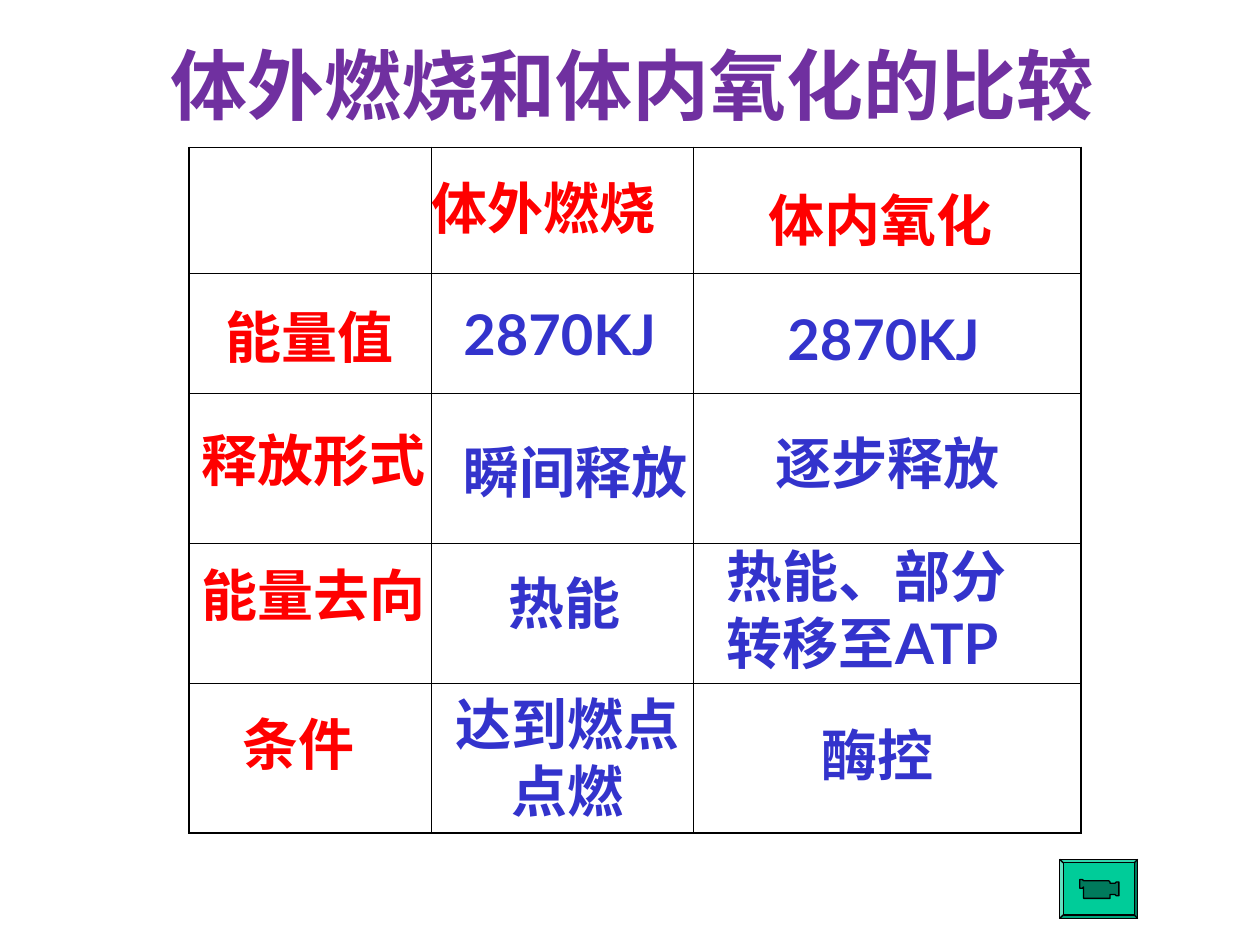
from lxml import etree
from pptx import Presentation
from pptx import util as u
from pptx.dml.color import RGBColor
from pptx.enum import shapes, text
from pptx.oxml import ns

PX = 9144
FONT = "Lato"
PURPLE, RED, BLUE = "7030A0", "FF0000", "3333CC"
BLACK, GREEN, DARK_GREEN = "000000", "00CC99", "007A5C"
COLUMNS = [192, 208, 308]
ROWS = [100, 95, 119, 111, 119]

LABELS = [
    ("体外燃烧", RED, (183, 16, 208, 64)),
    ("体内氧化", RED, (450, 25, 208, 64)),
    ("能量值", RED, (19, 118, 158, 64)),
    ("2870KJ", BLUE, (208, 116, 200, 64)),
    ("2870KJ", BLUE, (465, 120, 208, 64)),
    ("释放形式", RED, (0, 216, 200, 64)),
    ("瞬间释放", BLUE, (208, 225, 208, 64)),
    ("逐步释放", BLUE, (456, 218, 250, 64)),
    ("能量去向", RED, (0, 323, 200, 64)),
    ("热能", BLUE, (244, 329, 123, 64)),
    ("热能、部分\n转移至ATP", BLUE, (417, 308, 269, 117)),
    ("条件", RED, (33, 441, 133, 64)),
    ("达到燃点点燃", BLUE, (192, 425, 217, 117)),
    ("酶控", BLUE, (492, 450, 125, 64)),
]
CAMERA = [(16, 16), (18, 16), (19, 17), (39, 17), (40, 18), (40, 19),
          (44, 19), (45, 18), (47, 18), (47, 29), (45, 29), (44, 28),
          (40, 28), (40, 31), (19, 31), (19, 22), (18, 23), (16, 23)]


def rgb(value):
    return RGBColor.from_string(value)


def emu(*lengths):
    return [u.Emu(n * PX) for n in lengths]


def set_text(sp, content, size, color, align=text.PP_ALIGN.LEFT):
    tf = sp.text_frame
    tf.text = content
    tf.word_wrap = True
    tf.vertical_anchor = text.MSO_ANCHOR.TOP
    tf.auto_size = text.MSO_AUTO_SIZE.SHAPE_TO_FIT_TEXT
    for p in tf.paragraphs:
        p.alignment = align
        for r in p.runs:
            r.font.name = FONT
            r.font.size = u.Pt(size)
            r.font.bold = True
            r.font.color.rgb = rgb(color)


def add_title(s, box):
    sp = s.shapes.title
    sp.left, sp.top, sp.width, sp.height = emu(*box)
    set_text(sp, "体外燃烧和体内氧化的比较", 44, PURPLE)


def set_borders(cell, outer):
    tc_pr = cell._tc.get_or_add_tcPr()
    for index, side in enumerate("LRTB"):
        width = 1.08 if side in outer else 0.45
        ln = etree.Element(ns.qn(f"a:ln{side}"), w=str(u.Pt(width)))
        fill = etree.SubElement(ln, ns.qn("a:solidFill"))
        etree.SubElement(fill, ns.qn("a:srgbClr"), val=BLACK)
        tc_pr.insert(index, ln)


def add_grid(s, x, y):
    table = s.shapes.add_table(len(ROWS), len(COLUMNS),
                               *emu(x, y, sum(COLUMNS), sum(ROWS))).table
    table.first_row = table.horz_banding = False
    for column, width in zip(table.columns, COLUMNS):
        column.width = u.Emu(width * PX)
    for i, height in enumerate(ROWS):
        table.rows[i].height = u.Emu(height * PX)
        for j in range(len(COLUMNS)):
            cell = table.cell(i, j)
            cell.fill.background()
            edges = {"L": j == 0, "R": j == len(COLUMNS) - 1,
                     "T": i == 0, "B": i == len(ROWS) - 1}
            set_borders(cell, [side for side, outer in edges.items() if outer])


def add_labels(s, x, y):
    for content, color, (dx, dy, w, h) in LABELS:
        sp = s.shapes.add_textbox(*emu(x + dx, y + dy, w, h))
        centred = content == "达到燃点点燃"
        align = text.PP_ALIGN.CENTER if centred else text.PP_ALIGN.LEFT
        set_text(sp, content, 32, color, align)


def paint(sp, color):
    sp.shadow.inherit = False
    sp.fill.solid()
    sp.fill.fore_color.rgb = rgb(color)
    sp.line.color.rgb = rgb(BLACK)
    sp.line.width = u.Pt(0.75)


def add_movie_button(s, x, y, w, h):
    button = s.shapes.add_shape(shapes.MSO_SHAPE.BEVEL, *emu(x, y, w, h))
    button.adjustments[0] = 0.06
    paint(button, GREEN)
    builder = s.shapes.build_freeform(*CAMERA[0], scale=PX)
    builder.add_line_segments(CAMERA[1:], close=True)
    paint(builder.convert_to_shape(*emu(x, y)), DARK_GREEN)


def main():
    prs = Presentation()
    prs.slide_width, prs.slide_height = emu(1000, 750)
    s = prs.slides.add_slide(prs.slide_layouts[5])
    add_title(s, (125, 25, 800, 84))
    add_grid(s, 150, 117)
    add_labels(s, 150, 117)
    add_movie_button(s, 841, 682, 62, 47)
    prs.save("out.pptx")


if __name__ == "__main__":
    main()
